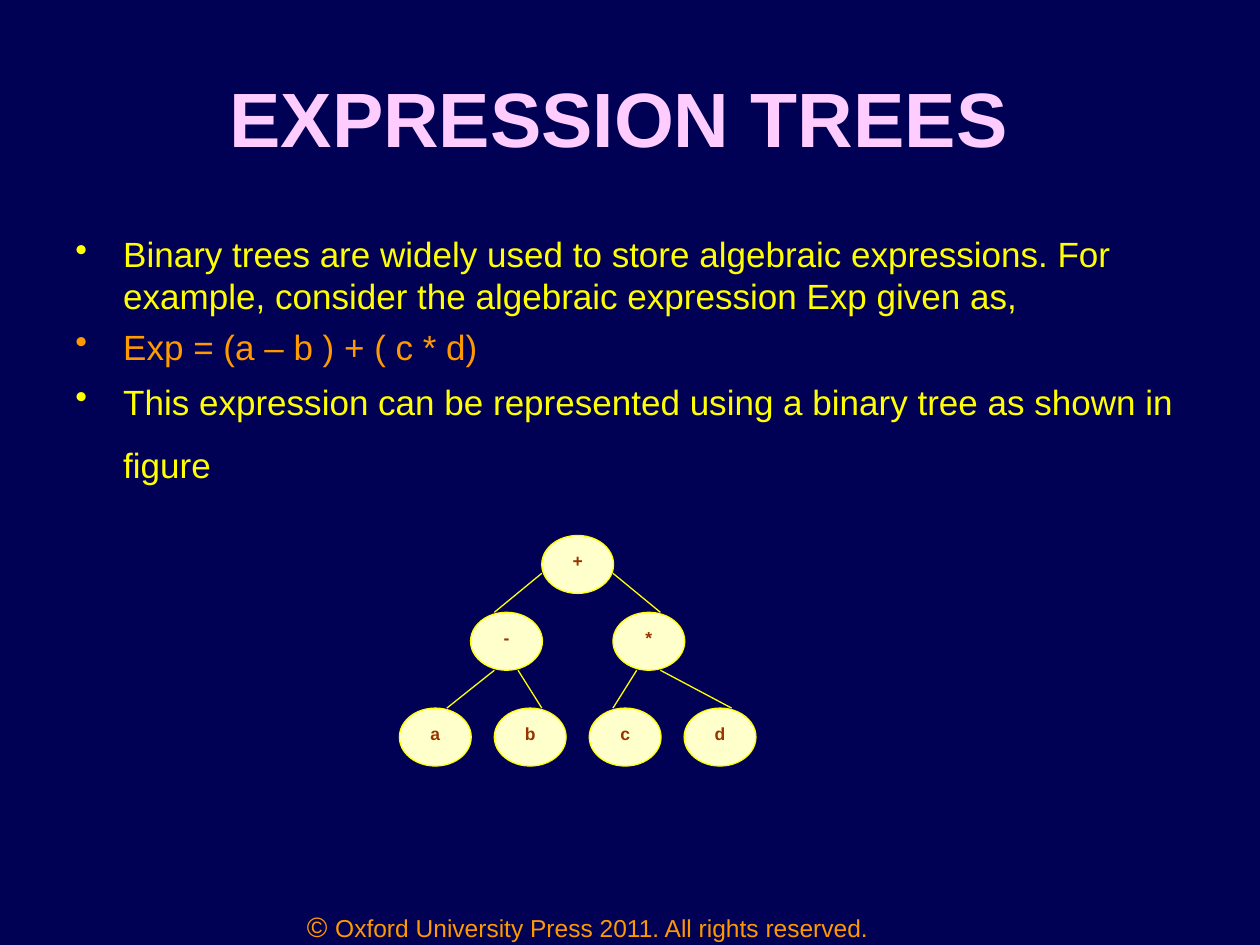
from lxml import etree
from pptx import Presentation
from pptx.dml.color import RGBColor
from pptx.enum import shapes, text
from pptx.oxml import ns
from pptx.util import Inches, Pt

NAVY = RGBColor(0x00, 0x00, 0x55)
PINK = RGBColor(0xFF, 0xCC, 0xFF)
YELLOW = RGBColor(0xFF, 0xFF, 0x00)
ORANGE = RGBColor(0xFF, 0x99, 0x00)
CREAM = RGBColor(0xFF, 0xFF, 0xCC)
BROWN = RGBColor(0x99, 0x33, 0x00)


def add_run(para, words, size, color, bold=False):
    run = para.add_run()
    run.text = words
    run.font.name = "Arial"
    run.font.size = Pt(size)
    run.font.bold = bold
    run.font.color.rgb = color


def add_box(left, top, width, height):
    frame = slide.shapes.add_textbox(
        Inches(left), Inches(top), Inches(width), Inches(height)).text_frame
    frame.word_wrap = True
    return frame


prs = Presentation()
prs.slide_width, prs.slide_height = Inches(10), Inches(7.5)
slide = prs.slides.add_slide(prs.slide_layouts[6])
slide.background.fill.solid()
slide.background.fill.fore_color.rgb = NAVY

# Footer and title
footer = add_box(2, 7.17, 5.33, 0.33).paragraphs[0]
footer.alignment = text.PP_ALIGN.CENTER
add_run(footer, "© ", 16, ORANGE)
add_run(footer, "Oxford University Press 2011. All rights reserved.", 14, ORANGE)

frame = add_box(0.5, 0.3, 9, 1.25)
frame.vertical_anchor = text.MSO_ANCHOR.MIDDLE
title = frame.paragraphs[0]
title.alignment = text.PP_ALIGN.CENTER
add_run(title, "EXPRESSION TREES ", 44, PINK, True)

# Bullets: wording, colour, space before
points = [
    ("Binary trees are widely used to store algebraic expressions. For example, "
     "consider the algebraic expression Exp given as,", YELLOW, 0),
    ("Exp = (a – b ) + ( c * d)", ORANGE, 4.6),
    ("This expression can be represented using a binary tree as shown in figure",
     YELLOW, 7.4),
]
body = add_box(0.5, 1.8, 9, 2.47)
for i, (words, color, gap) in enumerate(points):
    para = body.paragraphs[0] if i == 0 else body.add_paragraph()
    props = para._p.get_or_add_pPr()
    props.set("marL", str(Inches(0.38)))
    props.set("indent", str(Inches(-0.38)))
    etree.SubElement(props, ns.qn("a:buChar"), char="•")
    para.space_before = Pt(gap)
    add_run(para, words, 20, color)
# The large closing space opens up the last line
add_run(para, " ", 32, YELLOW)

# Tree: columns are a third of a node wide
LEFT, STEP = 3.17, 2.26 / 12
WIDE, HIGH = 0.57, 0.46
ROWS = [4.25, 4.86, 5.62]

# Edges: start column and y, end column and y
edges = [
    (6, 4.55, 4, ROWS[1]), (9, 4.55, 11, ROWS[1]),
    (4, ROWS[1] + HIGH, 2, ROWS[2]), (5, ROWS[1] + HIGH, 6, ROWS[2]),
    (10, ROWS[1] + HIGH, 9, ROWS[2]), (11, ROWS[1] + HIGH, 14, ROWS[2]),
]
for col, y, end, low in edges:
    edge = slide.shapes.add_connector(
        shapes.MSO_CONNECTOR.STRAIGHT,
        Inches(LEFT + col * STEP), Inches(y),
        Inches(LEFT + end * STEP), Inches(low))
    edge.line.color.rgb = YELLOW
    edge.line.width = Pt(0.75)
    etree.SubElement(edge._element.spPr, ns.qn("a:effectLst"))

nodes = [("+", 6, 0), ("-", 3, 1), ("*", 9, 1),
         ("a", 0, 2), ("b", 4, 2), ("c", 8, 2), ("d", 12, 2)]
for label, col, row in nodes:
    node = slide.shapes.add_shape(
        shapes.MSO_SHAPE.OVAL, Inches(LEFT + col * STEP), Inches(ROWS[row]),
        Inches(WIDE), Inches(HIGH))
    node.shadow.inherit = False
    node.fill.solid()
    node.fill.fore_color.rgb = CREAM
    node.line.color.rgb = YELLOW
    node.line.width = Pt(0.75)
    node.text_frame.vertical_anchor = text.MSO_ANCHOR.TOP
    para = node.text_frame.paragraphs[0]
    para.alignment = text.PP_ALIGN.CENTER
    add_run(para, label, 10, BROWN, True)

prs.save("out.pptx")
